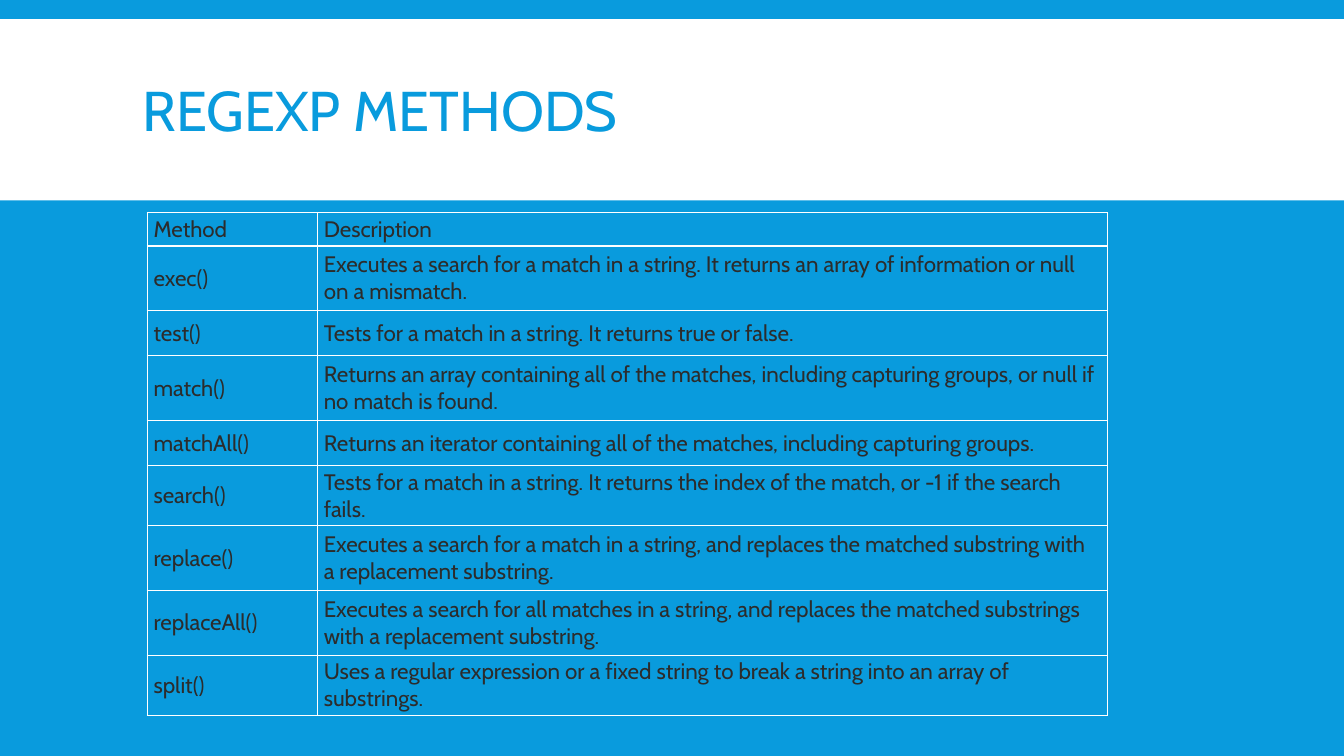
import pptx
import pptx.dml.color
import pptx.enum.shapes
import pptx.enum.text
import pptx.oxml
import pptx.oxml.ns
import pptx.util
from pptx.util import Cm

BLUE = "099BDD"
WHITE = "FFFFFF"
INK = "2C2C2C"
FONT = "Cabin"

COLUMN_WIDTHS = [4.29, 19.91]
HEADER_ROW, SHORT_ROW, TALL_ROW = 0.66, 1.14, 1.63
METHODS = [
    ("Method", "Description", HEADER_ROW),
    ("exec()", "Executes a search for a match in a string. It returns an array of "
     "information or null on a mismatch.", TALL_ROW),
    ("test()", "Tests for a match in a string. It returns true or false.", SHORT_ROW),
    ("match()", "Returns an array containing all of the matches, including capturing "
     "groups, or null if no match is found.", TALL_ROW),
    ("matchAll()", "Returns an iterator containing all of the matches, including "
     "capturing groups.", SHORT_ROW),
    ("search()", "Tests for a match in a string. It returns the index of the match, "
     "or -1 if the search fails.", SHORT_ROW),
    ("replace()", "Executes a search for a match in a string, and replaces the matched "
     "substring with a replacement substring.", TALL_ROW),
    ("replaceAll()", "Executes a search for all matches in a string, and replaces the "
     "matched substrings with a replacement substring.", TALL_ROW),
    ("split()", "Uses a regular expression or a fixed string to break a string into an "
     "array of substrings.", SHORT_ROW),
]


def color(hex_value):
    return pptx.dml.color.RGBColor.from_string(hex_value)


def write(text_frame, text, size, hex_value):
    text_frame.text = text
    for paragraph in text_frame.paragraphs:
        for run in paragraph.runs:
            run.font.name = FONT
            run.font.size = pptx.util.Pt(size)
            run.font.color.rgb = color(hex_value)


def add_title_band(slide, width):
    band = slide.shapes.add_shape(
        pptx.enum.shapes.MSO_SHAPE.RECTANGLE, 0, Cm(0.48), width, Cm(4.57))
    band.shadow.inherit = False
    band.fill.solid()
    band.fill.fore_color.rgb = color(WHITE)
    band.line.fill.background()


def add_title(slide, text):
    title = slide.shapes.add_textbox(Cm(3.35), Cm(0.79), Cm(27.18), Cm(4.19))
    title.text_frame.word_wrap = True
    title.text_frame.vertical_anchor = pptx.enum.text.MSO_ANCHOR.MIDDLE
    write(title.text_frame, text, 40, BLUE)
    title.text_frame.paragraphs[0].line_spacing = 0.85


def add_borders(cell, hex_value, points):
    properties = cell._tc.get_or_add_tcPr()
    for side in ("lnL", "lnR", "lnT", "lnB"):
        properties.append(pptx.oxml.parse_xml(
            f'<a:{side} {pptx.oxml.ns.nsdecls("a")} w="{pptx.util.Pt(points)}">'
            f'<a:solidFill><a:srgbClr val="{hex_value}"/></a:solidFill></a:{side}>'))


def fill_cell(cell, text):
    cell.margin_left = cell.margin_right = Cm(0.16)
    cell.margin_top = cell.margin_bottom = Cm(0.08)
    cell.vertical_anchor = pptx.enum.text.MSO_ANCHOR.MIDDLE
    write(cell.text_frame, text, 16, INK)
    add_borders(cell, WHITE, 1)
    cell.fill.background()


def add_method_table(slide):
    height = sum(row_height for _, _, row_height in METHODS)
    table = slide.shapes.add_table(
        len(METHODS), len(COLUMN_WIDTHS), Cm(3.71), Cm(5.36),
        Cm(sum(COLUMN_WIDTHS)), Cm(height)).table
    table.first_row = table.horz_banding = False
    for column, width in zip(table.columns, COLUMN_WIDTHS):
        column.width = Cm(width)
    for row, (method, description, row_height) in zip(table.rows, METHODS):
        row.height = Cm(row_height)
        for cell, text in zip(row.cells, (method, description)):
            fill_cell(cell, text)


def main():
    deck = pptx.Presentation()
    deck.slide_width, deck.slide_height = Cm(33.87), Cm(19.05)
    slide = deck.slides.add_slide(deck.slide_layouts[6])
    slide.background.fill.solid()
    slide.background.fill.fore_color.rgb = color(BLUE)
    add_title_band(slide, deck.slide_width)
    add_title(slide, "REGEXP METHODS")
    add_method_table(slide)
    deck.save("out.pptx")


if __name__ == "__main__":
    main()
